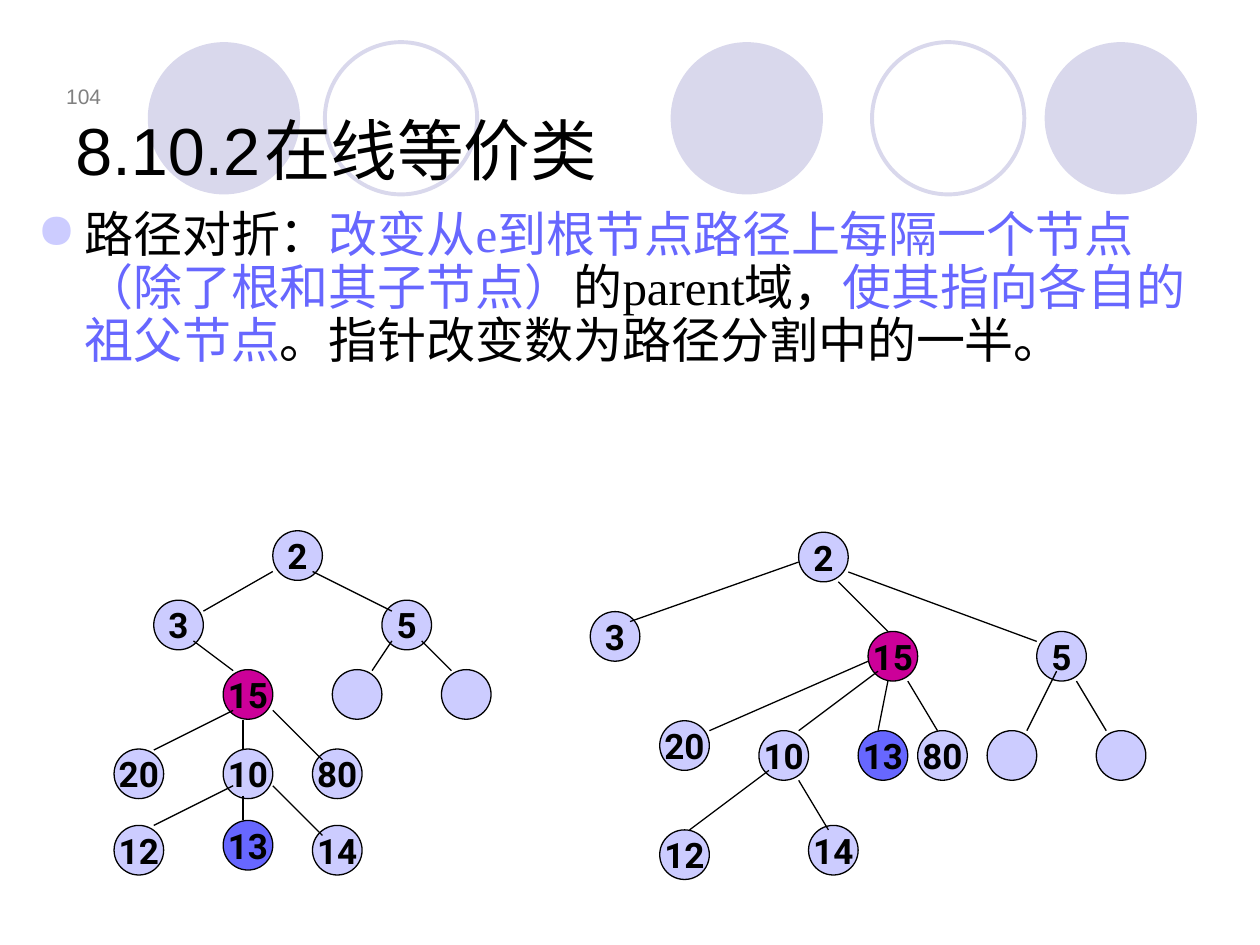
from dataclasses import dataclass
from typing import Any

from lxml.etree import SubElement
from pptx import Presentation
from pptx.dml.color import RGBColor
from pptx.enum.shapes import MSO_CONNECTOR as Connector, MSO_SHAPE as Shape
from pptx.enum.text import MSO_ANCHOR as Anchor, PP_ALIGN as Align
from pptx.oxml.ns import qn
from pptx.util import Cm, Pt

COLORS = {
    "black": "000000",
    "grey": "808080",
    "ring": "D9D8EC",
    "node": "CCCCFF",
    "blue": "6767FF",
    "magenta": "CC0099",
}
NODE_SIZE = 1.0
RING_SIZE = 3.07


@dataclass
class Ring:
    left: float
    filled: bool


@dataclass
class Node:
    label: str
    left: float
    top: float
    color: str = "node"


@dataclass
class Edge:
    x1: float
    y1: float
    x2: float
    y2: float


@dataclass
class Tree:
    nodes: list[Node]
    edges: list[Edge]


RINGS = [
    Ring(2.98, True),
    Ring(6.55, False),
    Ring(13.52, True),
    Ring(17.58, False),
    Ring(21.06, True),
]

BEFORE = Tree(
    nodes=[
        Node("2", 5.5, 10.7),
        Node("3", 3.1, 12.1),
        Node("5", 7.7, 12.1),
        Node("15", 4.5, 13.5, "magenta"),
        Node("", 6.7, 13.5),
        Node("", 8.9, 13.5),
        Node("20", 2.3, 15.1),
        Node("10", 4.5, 15.1),
        Node("80", 6.3, 15.1),
        Node("12", 2.3, 16.64),
        Node("13", 4.5, 16.54, "blue"),
        Node("14", 6.3, 16.64),
    ],
    edges=[
        Edge(5.5, 11.52, 4.1, 12.32),
        Edge(6.3, 11.52, 7.9, 12.32),
        Edge(3.9, 12.92, 4.7, 13.52),
        Edge(7.9, 12.92, 7.5, 13.52),
        Edge(8.5, 12.92, 9.1, 13.52),
        Edge(4.7, 14.32, 3.1, 15.12),
        Edge(4.9, 14.52, 4.9, 15.12),
        Edge(5.5, 14.32, 6.5, 15.32),
        Edge(4.7, 15.84, 3.1, 16.64),
        Edge(4.9, 16.04, 4.9, 16.54),
        Edge(5.5, 15.84, 6.5, 16.84),
    ],
)

AFTER = Tree(
    nodes=[
        Node("2", 16.1, 10.73),
        Node("3", 11.9, 12.33),
        Node("15", 17.5, 12.73, "magenta"),
        Node("5", 20.9, 12.73),
        Node("20", 13.3, 14.53),
        Node("10", 15.3, 14.73),
        Node("13", 17.3, 14.73, "blue"),
        Node("80", 18.5, 14.73),
        Node("", 19.9, 14.73),
        Node("", 22.1, 14.73),
        Node("12", 13.3, 16.73),
        Node("14", 16.3, 16.64),
    ],
    edges=[
        Edge(16.1, 11.33, 12.7, 12.53),
        Edge(16.9, 11.73, 17.9, 12.73),
        Edge(17.1, 11.53, 20.9, 12.93),
        Edge(17.5, 13.33, 14.3, 14.73),
        Edge(17.7, 13.53, 16.1, 14.73),
        Edge(17.9, 13.73, 17.7, 14.73),
        Edge(18.3, 13.73, 18.9, 14.73),
        Edge(21.3, 13.53, 20.7, 14.73),
        Edge(21.7, 13.73, 22.3, 14.73),
        Edge(15.5, 15.53, 13.9, 16.73),
        Edge(16.1, 15.73, 16.7, 16.73),
    ],
)

BODY = [
    ("路径对折：", "black"),
    ("改变从e到根节点路径上每隔一个节点（除了根和其子节点）", "blue"),
    ("的parent域，", "black"),
    ("使其指向各自的祖父节点", "blue"),
    ("。指针改变数为路径分割中的一半。", "black"),
]


def rgb(name: str) -> RGBColor:
    return RGBColor.from_string(COLORS[name])


def write(paragraph: Any, text: str, *, size: float, font: str,
          color: str = "black", bold: bool = False, align: Any = Align.LEFT) -> None:
    paragraph.alignment = align
    run = paragraph.add_run()
    run.text = text
    run.font.size = Pt(size)
    run.font.name = font
    run.font.bold = bold
    run.font.color.rgb = rgb(color)


def add_box(slide: Any, left: float, top: float, width: float, height: float,
            anchor: Any = Anchor.TOP) -> Any:
    frame = slide.shapes.add_textbox(Cm(left), Cm(top), Cm(width), Cm(height)).text_frame
    frame.word_wrap = True
    frame.vertical_anchor = anchor
    return frame.paragraphs[0]


def add_circle(slide: Any, left: float, top: float, size: float,
               fill: str | None, line: str | None, weight: float = 0.75) -> Any:
    shape = slide.shapes.add_shape(Shape.OVAL, Cm(left), Cm(top), Cm(size), Cm(size))
    shape.shadow.inherit = False
    if fill:
        shape.fill.solid()
        shape.fill.fore_color.rgb = rgb(fill)
    else:
        shape.fill.background()
    if line:
        shape.line.color.rgb = rgb(line)
        shape.line.width = Pt(weight)
    else:
        shape.line.fill.background()
    return shape


def add_node(slide: Any, node: Node) -> None:
    frame = add_circle(slide, node.left, node.top, NODE_SIZE, node.color, "black").text_frame
    if node.label:
        frame.word_wrap = False
        frame.vertical_anchor = Anchor.MIDDLE
        write(frame.paragraphs[0], node.label, size=20, font="Roboto", bold=True,
              align=Align.CENTER)


def add_edge(slide: Any, edge: Edge) -> None:
    connector = slide.shapes.add_connector(
        Connector.STRAIGHT, Cm(edge.x1), Cm(edge.y1), Cm(edge.x2), Cm(edge.y2))
    connector.line.color.rgb = rgb("black")
    connector.line.width = Pt(0.75)
    SubElement(connector._element.spPr, qn("a:effectLst"))


def add_bullet(paragraph: Any) -> None:
    properties = paragraph._p.get_or_add_pPr()
    properties.set("marL", str(Cm(0.95)))
    properties.set("indent", str(Cm(-0.95)))
    color = SubElement(properties, qn("a:buClr"))
    SubElement(color, qn("a:srgbClr"), val=COLORS["node"])
    SubElement(properties, qn("a:buChar"), char="●")


def main() -> None:
    presentation = Presentation()
    presentation.slide_width, presentation.slide_height = Cm(25.4), Cm(19.05)
    slide = presentation.slides.add_slide(presentation.slide_layouts[6])
    for ring in RINGS:
        fill, line = ("ring", None) if ring.filled else (None, "ring")
        add_circle(slide, ring.left, 0.85, RING_SIZE, fill, line, 2.25)
    write(add_box(slide, 0.89, 1.12, 1.4, 1.19, Anchor.BOTTOM), "104",
          size=12, font="Arial", color="grey", align=Align.RIGHT)
    write(add_box(slide, 1.27, 0.76, 22.86, 3.18, Anchor.BOTTOM), "8.10.2\t在线等价类",
          size=38, font="Arial")
    body = add_box(slide, 0.5, 4.11, 24.41, 6)
    add_bullet(body)
    body.line_spacing = 0.9
    for text, color in BODY:
        write(body, text, size=28, font="Times New Roman", color=color)
    for tree in (BEFORE, AFTER):
        for node in tree.nodes:
            add_node(slide, node)
        for edge in tree.edges:
            add_edge(slide, edge)
    presentation.save("out.pptx")


if __name__ == "__main__":
    main()
